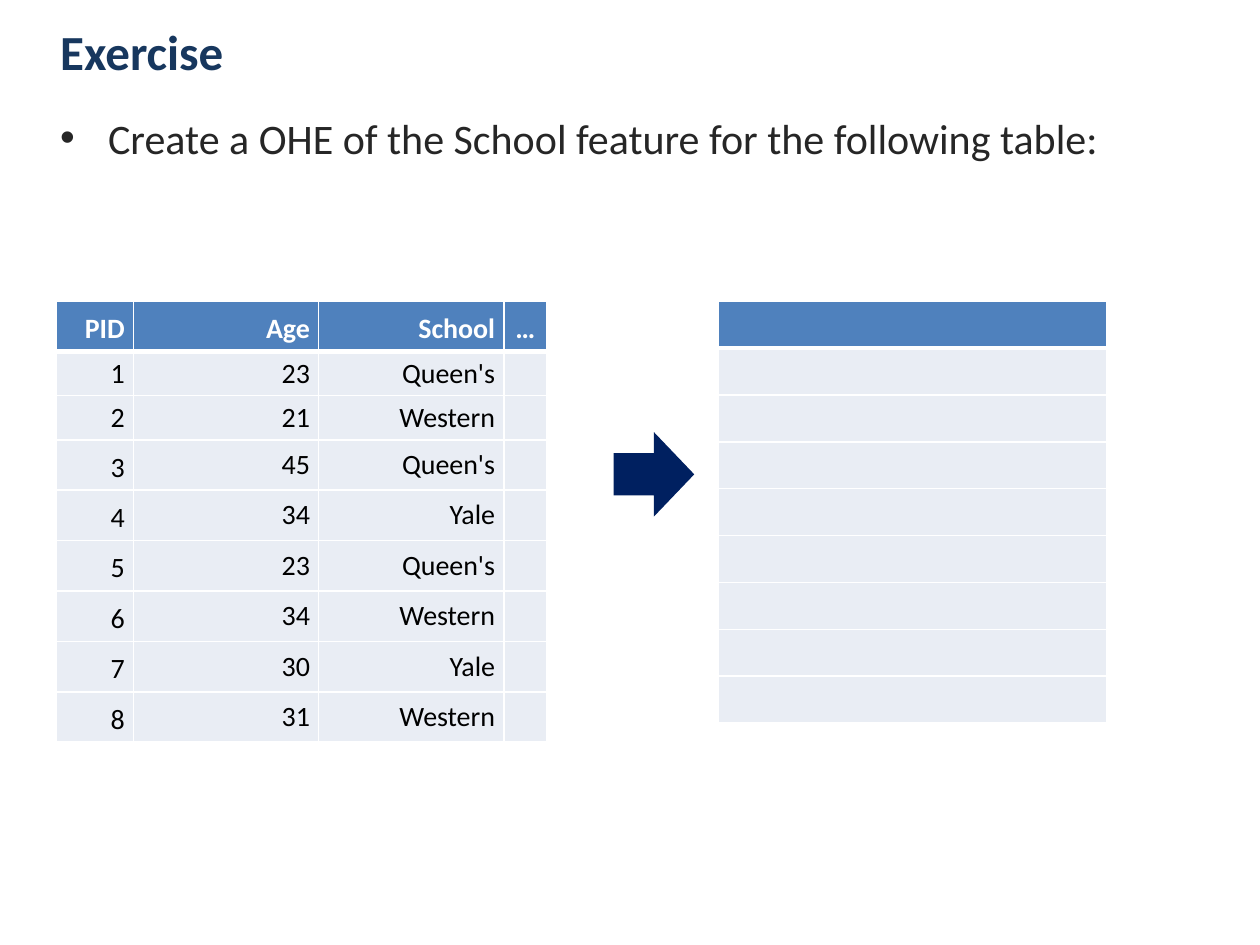
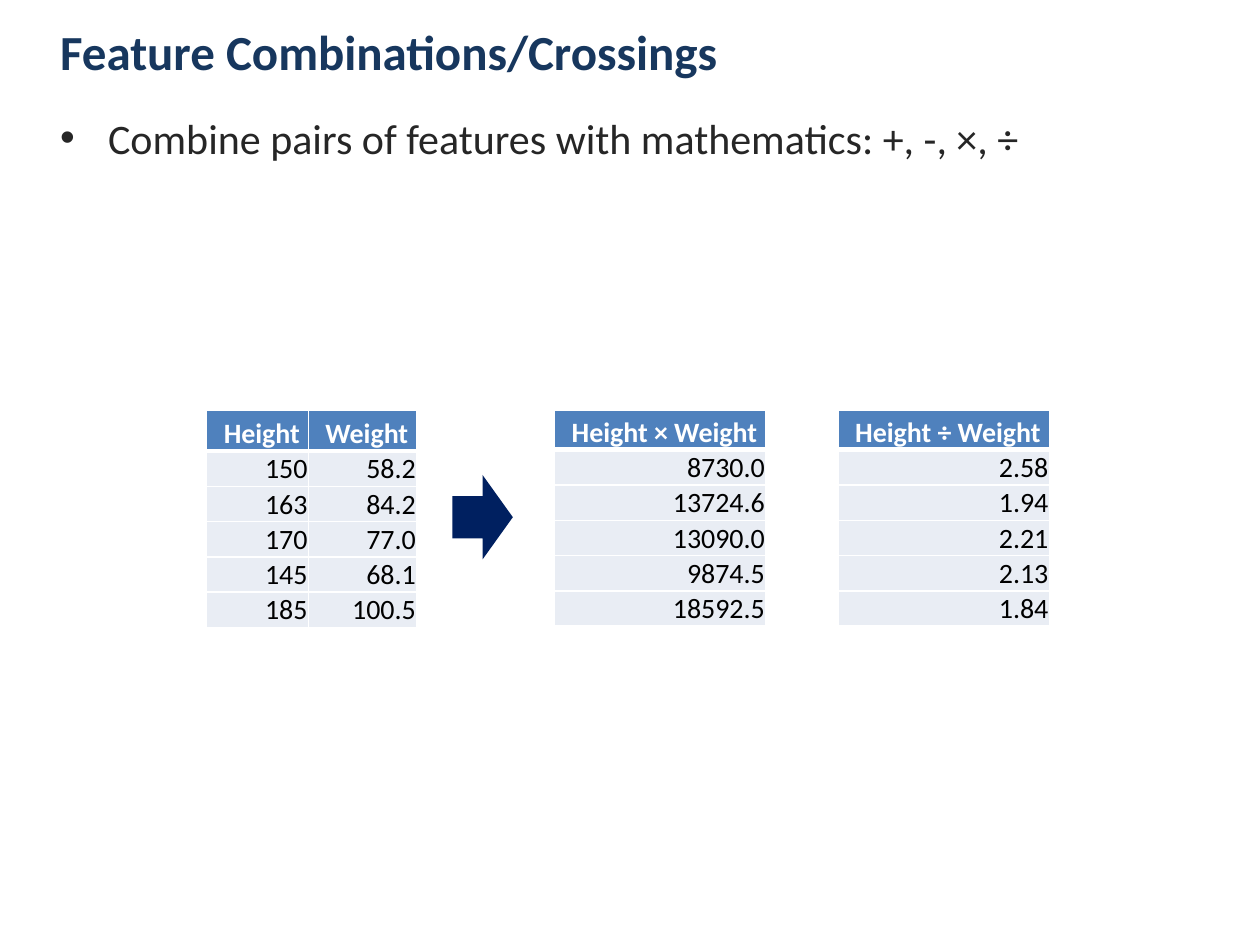
from pptx import Presentation, util as u
from pptx.dml.color import RGBColor
from pptx.enum import shapes, text
from pptx.oxml import parse_xml
from pptx.oxml.ns import nsdecls

NAVY = RGBColor(0x17, 0x37, 0x5E)
DARK = RGBColor(0x26, 0x26, 0x26)
DEEP = RGBColor(0x00, 0x20, 0x60)
BLUE = RGBColor(0x4F, 0x81, 0xBD)
PALE = RGBColor(0xE9, 0xED, 0xF4)
WHITE = RGBColor(0xFF, 0xFF, 0xFF)
BLACK = RGBColor(0x00, 0x00, 0x00)

TITLE = dict(size=28, bold=True, color=NAVY)
BODY = dict(size=24, bold=False, color=DARK)
HEAD = dict(size=16, bold=True, color=WHITE)
CELL = dict(size=16, bold=False, color=BLACK)

MID = text.MSO_ANCHOR.MIDDLE
LOW = text.MSO_ANCHOR.BOTTOM
WIDE = (0.07, 0, 0.07, 0)
TIGHT = (0.01, 0.01, 0.01, 0)
SIDES = ("left", "top", "right", "bottom")
TALL = 0.4

PEOPLE = [
    ("PID", "Age", "School", "…"),
    ("1", "23", "Queen's", ""),
    ("2", "21", "Western", ""),
    ("3", "45", "Queen's", ""),
    ("4", "34", "Yale", ""),
    ("5", "23", "Queen's", ""),
    ("6", "34", "Western", ""),
    ("7", "30", "Yale", ""),
    ("8", "31", "Western", ""),
]
SIZES = [("150", "58.2"), ("163", "84.2"), ("170", "77.0"),
         ("145", "68.1"), ("185", "100.5")]
TIMES = ["8730.0", "13724.6", "13090.0", "9874.5", "18592.5"]
RATIOS = ["2.58", "1.94", "2.21", "2.13", "1.84"]


def write(para, words, style):
    run = para.add_run()
    run.text = words
    font = run.font
    font.name = "Calibri"
    font.color.rgb = style["color"]
    for key, val in dict(size=u.Pt(style["size"]), bold=style["bold"]).items():
        setattr(font, key, val)


def add_text(slide, box, words, style, anchor):
    frame = slide.shapes.add_textbox(*map(u.Inches, box)).text_frame
    frame.word_wrap = True
    frame.vertical_anchor = anchor
    para = frame.paragraphs[0]
    write(para, words, style)
    return para


def add_bullet(para):
    props = para._p.get_or_add_pPr()
    props.set("marL", str(u.Inches(0.38)))
    props.set("indent", str(-u.Inches(0.38)))
    for tag in ('<a:buFont %s typeface="Arial"/>', '<a:buChar %s char="•"/>'):
        props.append(parse_xml(tag % nsdecls("a")))


def add_edge(cell, side, width):
    cell._tc.get_or_add_tcPr().append(parse_xml(
        f'<a:ln{side} {nsdecls("a")} w="{u.Pt(width)}"><a:solidFill>'
        f'<a:srgbClr val="{WHITE}"/></a:solidFill></a:ln{side}>'))


def fill_cell(cell, words, row, col, high, anchor, inset):
    top = row == 0
    for side in "LRTB":
        thick = (row, side) in ((0, "B"), (1, "T"))
        add_edge(cell, side, 3 if thick else 1)
    cell.fill.solid()
    cell.fill.fore_color.rgb = BLUE if top else PALE
    cell.vertical_anchor = MID if top else anchor
    for side, gap in zip(SIDES, WIDE if top else inset):
        setattr(cell, "margin_" + side, u.Inches(gap))
    if not words:
        return
    para = cell.text_frame.paragraphs[0]
    para.alignment = text.PP_ALIGN.CENTER if words == "…" else text.PP_ALIGN.RIGHT
    if top or (col == 0 and high == TALL):
        para.line_spacing = 1.15
    write(para, words, HEAD if top else CELL)


def add_grid(slide, left, top, wides, highs, data, anchor=MID, inset=WIDE):
    frame = slide.shapes.add_table(
        len(highs), len(wides), u.Inches(left), u.Inches(top),
        u.Inches(sum(wides)), u.Inches(sum(highs)))
    grid = frame.table
    for col, wide in enumerate(wides):
        grid.columns[col].width = u.Inches(wide)
    for row, high in enumerate(highs):
        grid.rows[row].height = u.Inches(high)
        for col, words in enumerate(data[row]):
            fill_cell(grid.cell(row, col), words, row, col, high, anchor, inset)


def add_arrow(slide, *box):
    arrow = slide.shapes.add_shape(
        shapes.MSO_SHAPE.RIGHT_ARROW, *map(u.Inches, box))
    arrow.shadow.inherit = False
    arrow.fill.solid()
    arrow.fill.fore_color.rgb = DEEP
    arrow.line.fill.background()


def add_slide(deck, title, point, deep):
    slide = deck.slides.add_slide(deck.slide_layouts[6])
    para = add_text(slide, (0.38, 0.84, 9.24, deep), point, BODY,
                    text.MSO_ANCHOR.TOP)
    add_bullet(para)
    add_text(slide, (0.38, 0.05, 8.2, 0.71), title, TITLE, MID)
    return slide


def main():
    deck = Presentation()
    deck.slide_width, deck.slide_height = u.Inches(10), u.Inches(7.5)

    slide = add_slide(deck, "Exercise",
                      "Create a OHE of the School feature for the following table:",
                      0.74)
    add_grid(slide, 0.45, 2.39, [0.61, 1.47, 1.47, 0.34],
             [TALL, 0.35, 0.35] + [TALL] * 6, PEOPLE)
    add_grid(slide, 5.7, 2.39, [3.08], [3.35 / 9] * 9, [("",)] * 9)
    add_arrow(slide, 4.87, 3.43, 0.64, 0.67)

    slide = add_slide(deck, "Feature Combinations/Crossings",
                      "Combine pairs of features with mathematics: +, -, ×, ÷",
                      1.46)
    add_grid(slide, 1.64, 3.26, [0.81, 0.86], [0.32] + [0.28] * 5,
             [("Height", "Weight")] + SIZES, LOW, TIGHT)
    for left, sign, vals in ((4.4, "×", TIMES), (6.65, "÷", RATIOS)):
        data = [(f"Height {sign} Weight",)] + [(val,) for val in vals]
        add_grid(slide, left, 3.26, [1.68], [0.31] + [0.28] * 5,
                 data, LOW, TIGHT)
    add_arrow(slide, 3.59, 3.77, 0.48, 0.67)

    deck.save("out.pptx")


if __name__ == "__main__":
    main()
